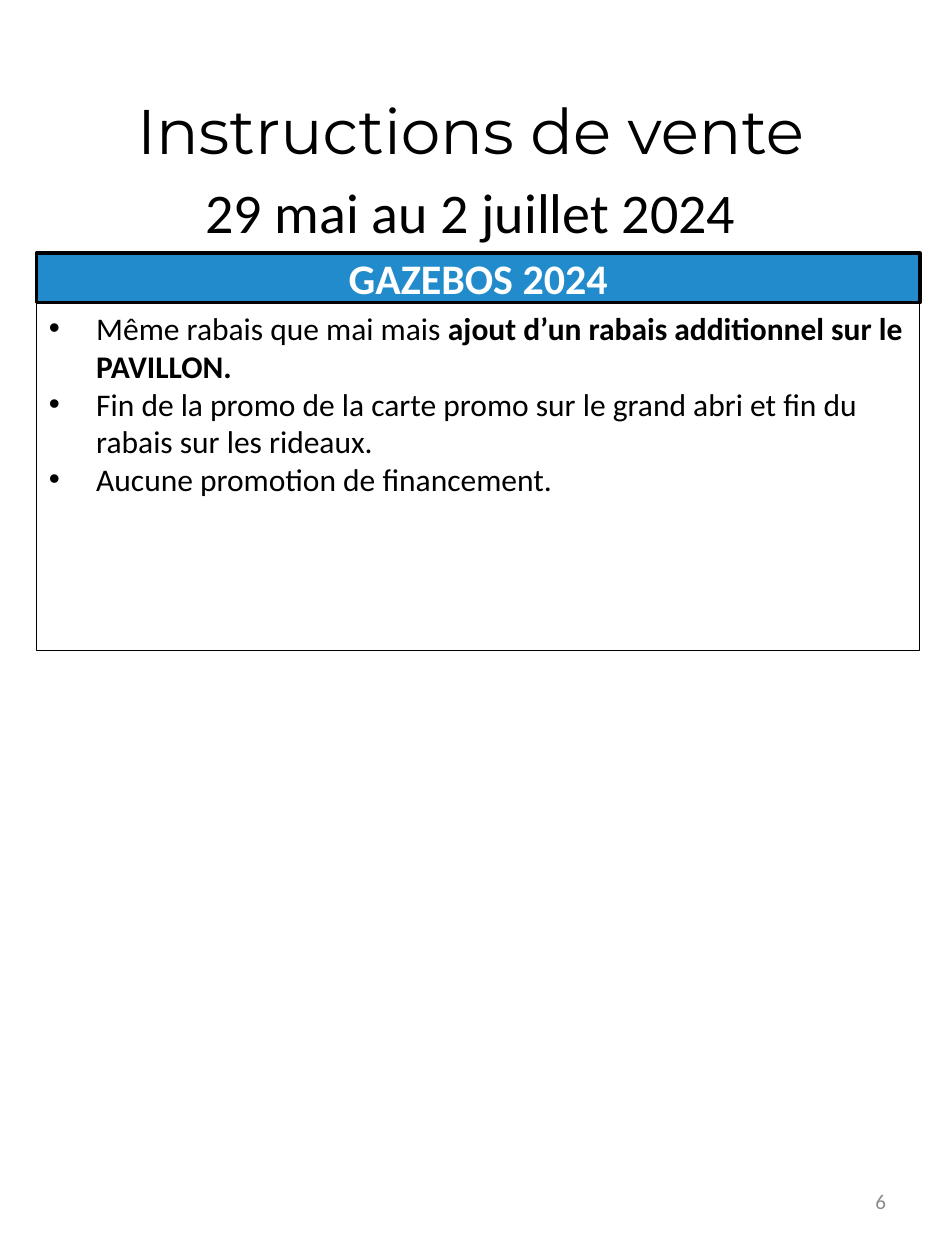
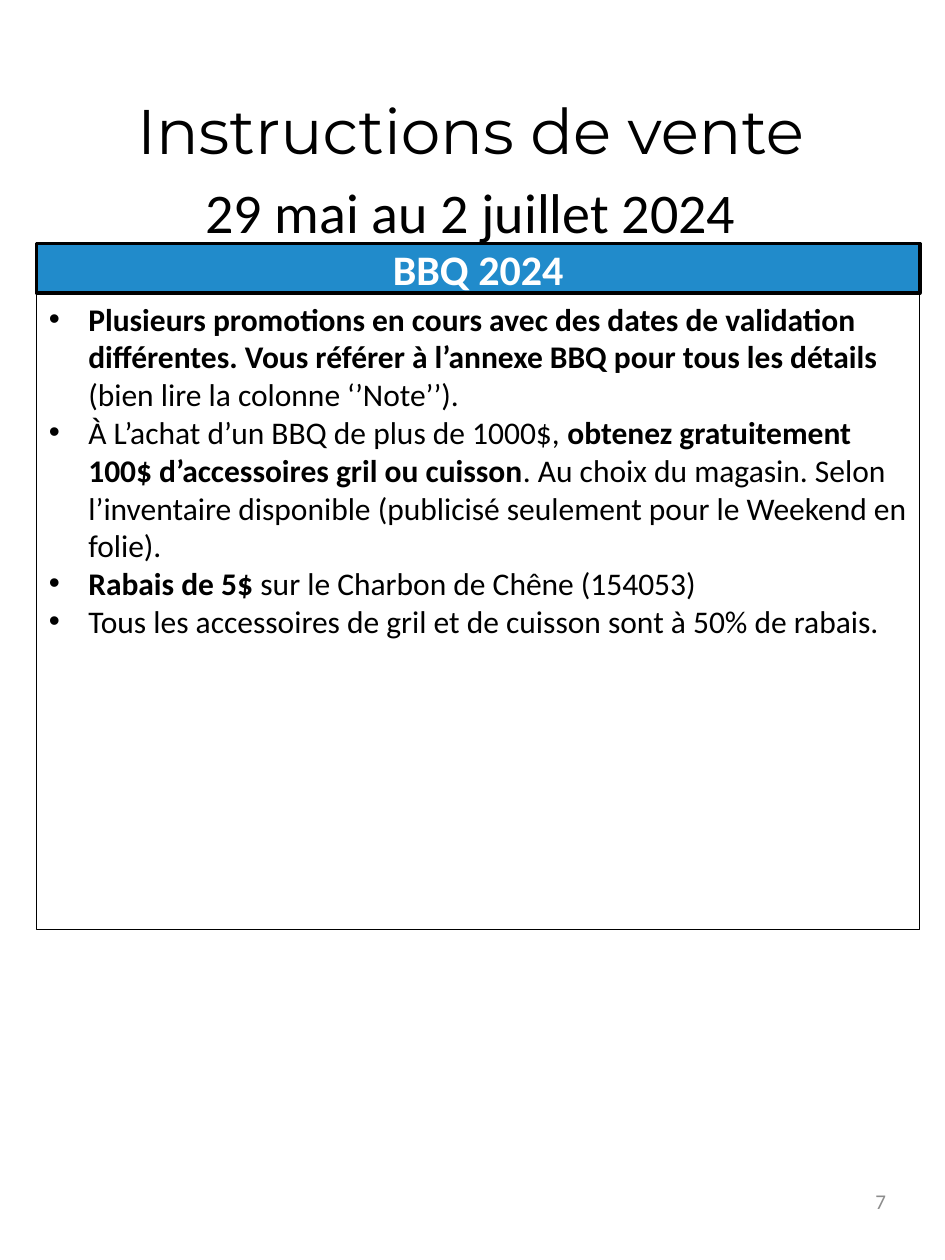
from dataclasses import dataclass

from lxml import etree
from pptx import Presentation
from pptx import util as u
from pptx.dml import color
from pptx.enum import shapes, text
from pptx.oxml import ns

BLACK, WHITE, BLUE, GREY = "000000", "FFFFFF", "218BCB", "8C8C8C"
BODY_FONT, TITLE_FONT = "Calibri", "Montserrat"
PANEL_LEFT, PANEL_WIDTH, BAND_HEIGHT = 20.9, 504.7, 28.4


@dataclass(frozen=True)
class Span:
    wording: str
    bold: bool = False


@dataclass(frozen=True)
class Instructions:
    heading: str
    page: int
    band_top: float
    details_height: float
    indent: float
    points: list[list[Span]]


SECTIONS = [
    Instructions("GAZEBOS 2024", 6, 144.6, 198.8, 27, [
        [Span("Même rabais que mai mais "),
         Span("ajout d’un rabais additionnel sur le PAVILLON.", True)],
        [Span("Fin de la promo de la carte promo sur le grand abri et fin du "
              "rabais sur les rideaux.")],
        [Span("Aucune promotion de financement.")],
    ]),
    Instructions("BBQ 2024", 7, 139.2, 363.6, 22.5, [
        [Span("Plusieurs promotions en cours avec des dates de validation différentes. "
              "Vous référer à l’annexe BBQ pour tous les détails ", True),
         Span("(bien lire la colonne ‘’Note’’).")],
        [Span("À L’achat d’un BBQ de plus de 1000$, "),
         Span("obtenez gratuitement 100$ d’accessoires gril ou cuisson", True),
         Span(". Au choix du magasin. Selon l’inventaire disponible "
              "(publicisé seulement pour le Weekend en folie).")],
        [Span("Rabais de 5$ ", True), Span("sur le Charbon de Chêne (154053)")],
        [Span("Tous les accessoires de gril et de cuisson sont à 50% de rabais.")],
    ]),
]


def rgb(hex_code: str) -> color.RGBColor:
    return color.RGBColor.from_string(hex_code)


def add_run(paragraph, wording: str, size: float, hex_code: str = BLACK,
            bold: bool = False, family: str = BODY_FONT):
    run = paragraph.add_run()
    run.text = wording
    run.font.size = u.Pt(size)
    run.font.name = family
    run.font.bold = bold
    run.font.color.rgb = rgb(hex_code)
    return run


def outline_letters(run, width: float) -> None:
    line = etree.Element(ns.qn("a:ln"), w=str(u.Pt(width)))
    fill = etree.SubElement(line, ns.qn("a:solidFill"))
    etree.SubElement(fill, ns.qn("a:srgbClr"), val=BLACK)
    run.font._element.insert(0, line)


def add_bullet(paragraph, indent: float) -> None:
    """Give the paragraph a bullet hanging in its indent."""
    properties = paragraph._p.get_or_add_pPr()
    properties.set("marL", str(u.Pt(indent)))
    properties.set("indent", str(-u.Pt(indent)))
    etree.SubElement(properties, ns.qn("a:buFont"), typeface="Arial")
    etree.SubElement(properties, ns.qn("a:buChar"), char="•")


def add_panel(slide, top: float, height: float, border: float,
              fill: str | None = None):
    """Draw a full-width bordered rectangle and return its text frame."""
    panel = slide.shapes.add_shape(
        shapes.MSO_SHAPE.RECTANGLE,
        u.Pt(PANEL_LEFT), u.Pt(top), u.Pt(PANEL_WIDTH), u.Pt(height))
    panel.shadow.inherit = False
    if fill:
        panel.fill.solid()
        panel.fill.fore_color.rgb = rgb(fill)
    else:
        panel.fill.background()
    panel.line.color.rgb = rgb(BLACK)
    panel.line.width = u.Pt(border)
    panel.text_frame.word_wrap = True
    return panel.text_frame


def add_text_frame(slide, left: float, top: float, width: float, height: float,
                   anchor: text.MSO_ANCHOR):
    frame = slide.shapes.add_textbox(
        u.Pt(left), u.Pt(top), u.Pt(width), u.Pt(height)).text_frame
    frame.word_wrap = True
    frame.vertical_anchor = anchor
    return frame


def add_band(slide, section: Instructions) -> None:
    frame = add_panel(slide, section.band_top, BAND_HEIGHT, 2, BLUE)
    frame.vertical_anchor = text.MSO_ANCHOR.MIDDLE
    heading = frame.paragraphs[0]
    heading.alignment = text.PP_ALIGN.CENTER
    add_run(heading, section.heading, 24, WHITE, bold=True)


def add_details(slide, section: Instructions) -> None:
    frame = add_panel(slide, section.band_top + BAND_HEIGHT, section.details_height, 0.75)
    frame.vertical_anchor = text.MSO_ANCHOR.TOP
    for index, spans in enumerate(section.points):
        point = frame.add_paragraph() if index else frame.paragraphs[0]
        point.alignment = text.PP_ALIGN.LEFT
        add_bullet(point, section.indent)
        for span in spans:
            add_run(point, span.wording, 18, bold=span.bold)


def add_page_number(slide, page: int) -> None:
    frame = add_text_frame(slide, 387.4, 667.4, 126, 38.2, text.MSO_ANCHOR.MIDDLE)
    number = frame.paragraphs[0]
    number.alignment = text.PP_ALIGN.RIGHT
    add_run(number, str(page), 12, GREY)


def add_title(slide) -> None:
    frame = add_text_frame(slide, 25.9, 42.5, 486, 85, text.MSO_ANCHOR.TOP)
    title = frame.paragraphs[0]
    title.alignment = text.PP_ALIGN.CENTER
    title.line_spacing = 1.15
    title.space_after = u.Pt(10)
    outline_letters(add_run(title, "Instructions de vente", 36, family=TITLE_FONT), 0.4)
    title.add_line_break()
    outline_letters(add_run(title, "29 mai au 2 juillet 2024", 32), 0.4)


def main() -> None:
    deck = Presentation()
    deck.slide_width, deck.slide_height = u.Pt(540), u.Pt(720)
    for section in SECTIONS:
        slide = deck.slides.add_slide(deck.slide_layouts[6])
        add_band(slide, section)
        add_details(slide, section)
        add_page_number(slide, section.page)
        add_title(slide)
    deck.save("out.pptx")


if __name__ == "__main__":
    main()
